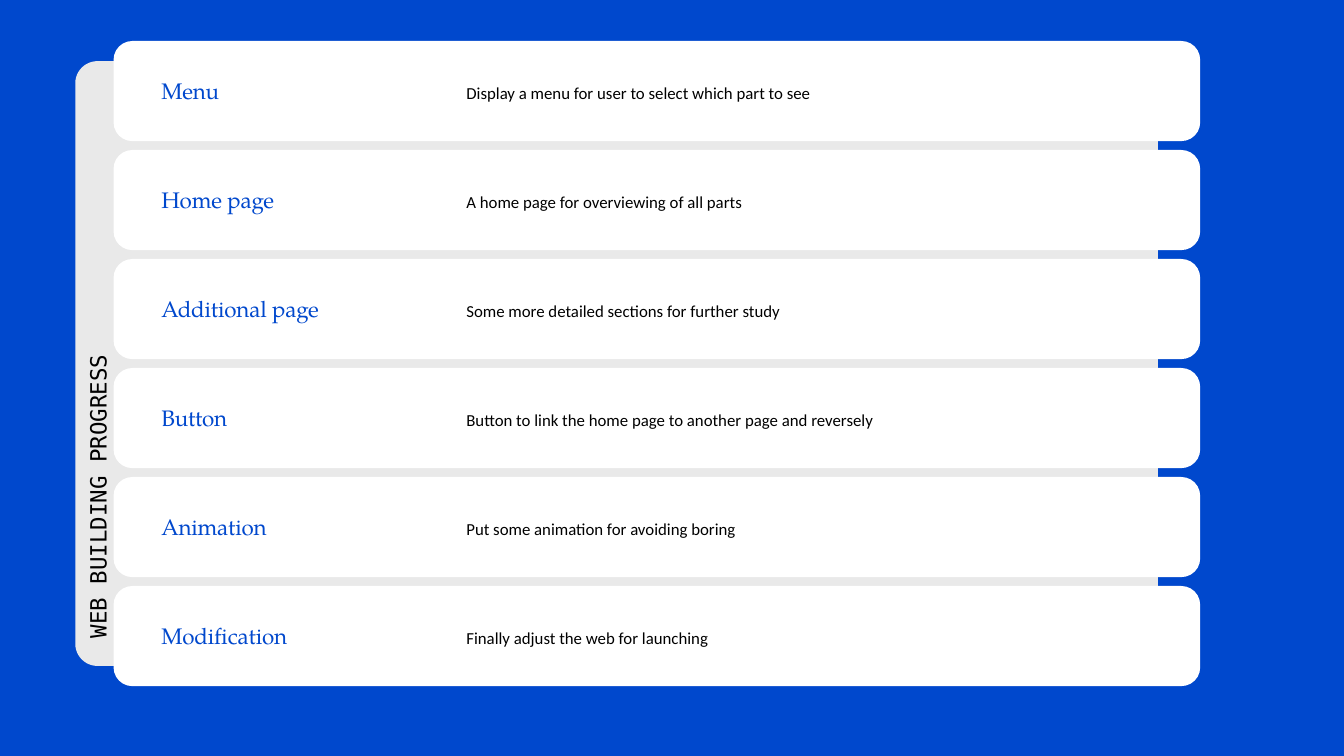
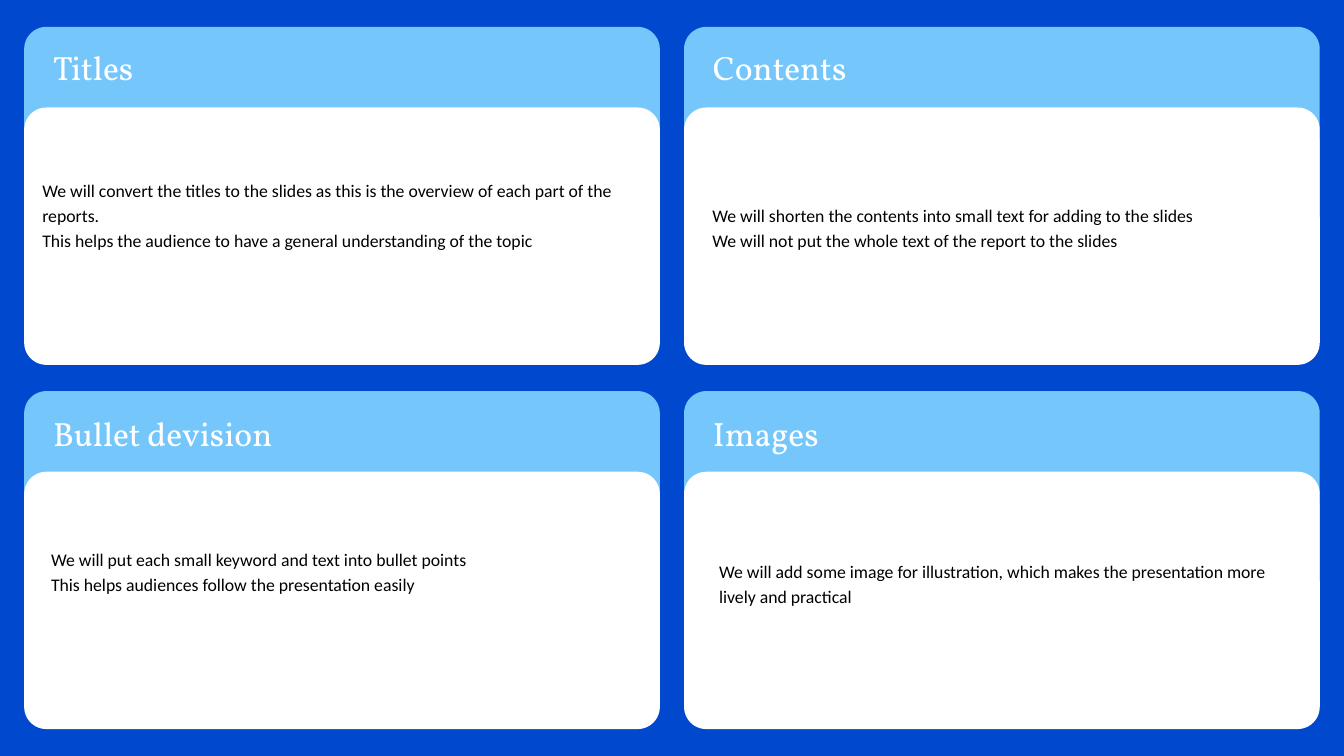
import pptx
import pptx.util
import pptx.dml.color
import pptx.enum.shapes
import pptx.enum.text

Inches = pptx.util.Inches
Pt = pptx.util.Pt
RGB = pptx.dml.color.RGBColor

BLUE = RGB(0x00, 0x48, 0xCD)
SKY = RGB(0x75, 0xC7, 0xFB)
GREY = RGB(0xE9, 0xE9, 0xE9)
WHITE = RGB(0xFF, 0xFF, 0xFF)
BLACK = RGB(0x00, 0x00, 0x00)

STYLES = {
    "side": ({"name": "DejaVu Sans Mono", "size": Pt(24)}, BLACK, 33.6, 0),
    "step": ({"name": "TeX Gyre Pagella", "size": Pt(24)}, BLUE, 31.2, -20),
    "note": ({"name": "Calibri", "size": Pt(18)}, BLACK, 25.6, 0),
    "head": ({"name": "Vollkorn", "size": Pt(36)}, WHITE, 50.4, 0),
    "body": ({"name": "Calibri", "size": Pt(19)}, BLACK, 27, 0),
}
FRAME = {
    "margin_left": 0, "margin_top": 0, "margin_right": 0, "margin_bottom": 0,
    "word_wrap": True,
    "auto_size": pptx.enum.text.MSO_AUTO_SIZE.SHAPE_TO_FIT_TEXT,
}

STEPS = [
    ("Menu", "Display a menu for user to select which part to see"),
    ("Home page", "A home page for overviewing of all parts"),
    ("Additional page", "Some more detailed sections for further study"),
    ("Button", "Button to link the home page to another page and reversely"),
    ("Animation", "Put some animation for avoiding boring"),
    ("Modification", "Finally adjust the web for launching"),
]
CARDS = [
    (0, 0, "Titles", (0.63, 2.61, 8.93, 1.1), [
        "We will convert the titles to the slides as this is the overview of each part of the reports.",
        "This helps the audience to have a general understanding of the topic"]),
    (0, 1, "Bullet devision", (0.76, 8.11, 8.67, 0.73), [
        "We will put each small keyword and text into bullet points",
        "This helps audiences follow the presentation easily"]),
    (1, 0, "Contents", (10.6, 2.99, 8.7, 0.73), [
        "We will shorten the contents into small text for adding to the slides",
        "We will not put the whole text of the report to the slides"]),
    (1, 1, "Images", (10.7, 8.29, 8.51, 0.73), [
        "We will add some image for illustration, which makes the presentation more lively and practical"]),
]


def assign(target, values):
    """Set each named attribute on the target."""
    for name, value in values.items():
        setattr(target, name, value)


class Deck:
    """Holds the shared style and the current slide."""

    def __init__(self):
        self.show = pptx.Presentation()
        assign(self.show, {"slide_width": Inches(20), "slide_height": Inches(11.25)})
        self.slide = None

    def page(self):
        """Start a blank slide on the blue ground."""
        self.slide = self.show.slides.add_slide(self.show.slide_layouts[6])
        fill = self.slide.background.fill
        fill.solid()
        fill.fore_color.rgb = BLUE

    def panel(self, box, color, radius=0.33):
        """Draw a plain rounded panel."""
        kind = pptx.enum.shapes.MSO_SHAPE.ROUNDED_RECTANGLE
        shape = self.slide.shapes.add_shape(kind, *map(Inches, box))
        shape.adjustments[0] = radius / min(box[2:])
        shape.shadow.inherit = False
        shape.fill.solid()
        shape.fill.fore_color.rgb = color
        shape.line.fill.background()

    def text(self, box, lines, style, turn=0):
        """Write one paragraph per line in a named style."""
        font, color, pitch, track = STYLES[style]
        shape = self.slide.shapes.add_textbox(*map(Inches, box))
        shape.rotation = turn
        frame = shape.text_frame
        assign(frame, FRAME)
        frame.text = "\n".join(lines)
        for para in frame.paragraphs:
            para.line_spacing = Pt(pitch)
            for run in para.runs:
                assign(run.font, font)
                run.font.color.rgb = color
                if track:
                    run.font._element.set("spc", str(track))


def progress(deck):
    """Build the slide of web building steps."""
    deck.page()
    deck.panel((1.12, 0.91, 16.11, 9), GREY)
    for row, (name, note) in enumerate(STEPS):
        top = 0.61 + row * 8.11 / (len(STEPS) - 1)
        deck.panel((1.69, top, 16.17, 1.49), WHITE, 0.28)
        deck.text((2.4, top + 0.51, 3.85, 0.43), [name], "step")
        deck.text((6.94, top + 0.57, 10.13, 0.33), [note], "note")
    deck.text((-2.4, 5.46, 7.62, 0.45), ["WEB BUILDING PROGRESS"], "side", 270)


def methods(deck):
    """Build the slide of four cards."""
    deck.page()
    for col, row, head, box, lines in CARDS:
        left, top = 0.36 + col * 9.82, 0.4 + row * 5.42
        deck.panel((left, top, 9.46, 3.93), SKY)
        deck.panel((left, top + 1.2, 9.46, 3.83), WHITE)
        deck.text((left + 0.43, 0.6 + row * 5.45, 7.43, 0.67), [head], "head")
        deck.text(box, lines, "body")


def main():
    """Build and save the deck."""
    deck = Deck()
    progress(deck)
    methods(deck)
    deck.show.save("out.pptx")


if __name__ == "__main__":
    main()
